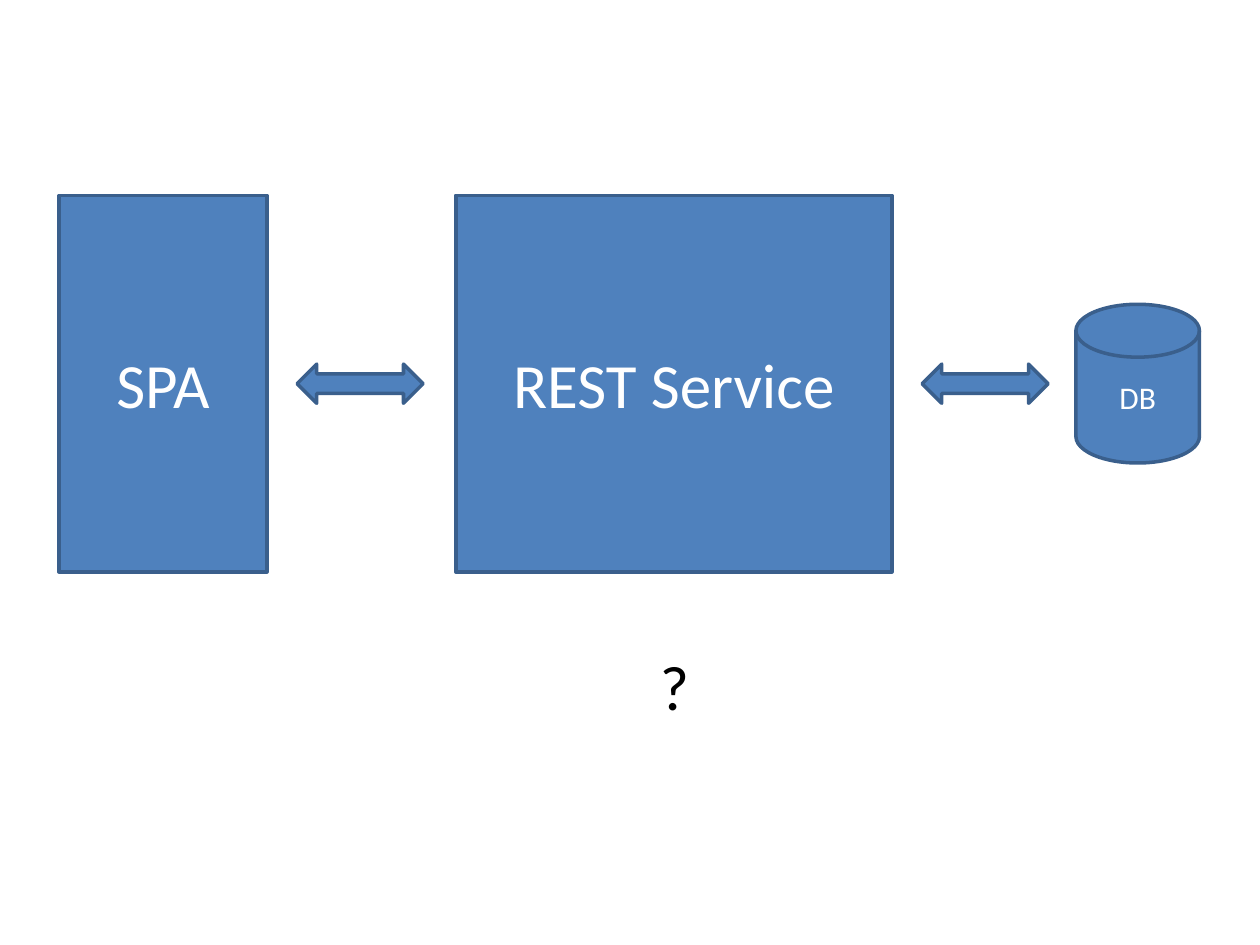
import pptx
import pptx.dml.color
import pptx.enum.shapes
import pptx.enum.text
import pptx.util

Cm = pptx.util.Cm
SHAPE = pptx.enum.shapes.MSO_SHAPE

BLUE, DARK_BLUE, WHITE, BLACK = "4F81BD", "3A5F8C", "FFFFFF", "000000"
LARGE, SMALL = 36, 18

# Kind, offset from the left of the diagram, width, height, label, text size
PARTS = [
    (SHAPE.RECTANGLE, 0, 4.19, 7.59, "SPA", LARGE),
    (SHAPE.LEFT_RIGHT_ARROW, 4.8, 2.54, 0.79, "", SMALL),
    (SHAPE.RECTANGLE, 8, 8.79, 7.59, "REST Service", LARGE),
    (SHAPE.LEFT_RIGHT_ARROW, 17.4, 2.54, 0.79, "", SMALL),
    (SHAPE.FLOWCHART_MAGNETIC_DISK, 20.5, 2.49, 3.2, "DB", SMALL),
]


def color(value):
    return pptx.dml.color.RGBColor.from_string(value)


def write_label(shape, text, size, text_color):
    """Put one centred line of text in the shape."""
    shape.text_frame.word_wrap = True
    paragraph = shape.text_frame.paragraphs[0]
    paragraph.text = text
    paragraph.alignment = pptx.enum.text.PP_ALIGN.CENTER
    formats = {"name": "Calibri", "size": pptx.util.Pt(size)}
    for name, value in formats.items():
        setattr(paragraph.font, name, value)
    paragraph.font.color.rgb = color(text_color)


def add_part(slide, kind, left, top, width, height, label, size):
    shape = slide.shapes.add_shape(kind, Cm(left), Cm(top), Cm(width), Cm(height))
    shape.shadow.inherit = False
    shape.fill.solid()
    shape.fill.fore_color.rgb = color(BLUE)
    shape.line.color.rgb = color(DARK_BLUE)
    shape.line.width = pptx.util.Pt(2)
    if label:
        shape.text_frame.vertical_anchor = pptx.enum.text.MSO_ANCHOR.MIDDLE
        write_label(shape, label, size, WHITE)


def add_architecture(slide, left, top, height):
    """Place the parts in a row, all centred on the middle of the box."""
    for kind, offset, part_width, part_height, label, size in PARTS:
        part_top = top + (height - part_height) / 2
        add_part(slide, kind, left + offset, part_top,
                 part_width, part_height, label, size)


def add_question(slide, left, top, width, height):
    box = slide.shapes.add_textbox(Cm(left), Cm(top), Cm(width), Cm(height))
    write_label(box, "?", LARGE, BLACK)
    box.text_frame.auto_size = pptx.enum.text.MSO_AUTO_SIZE.SHAPE_TO_FIT_TEXT


def main():
    presentation = pptx.Presentation()
    presentation.slide_width = Cm(25.4)
    presentation.slide_height = Cm(19.05)
    blank_layout = presentation.slide_layouts[6]
    slide = presentation.slides.add_slide(blank_layout)
    add_architecture(slide, 1.19, 3.94, 7.59)
    add_question(slide, 11.6, 12.93, 3.99, 1.8)
    presentation.save("out.pptx")


if __name__ == "__main__":
    main()
